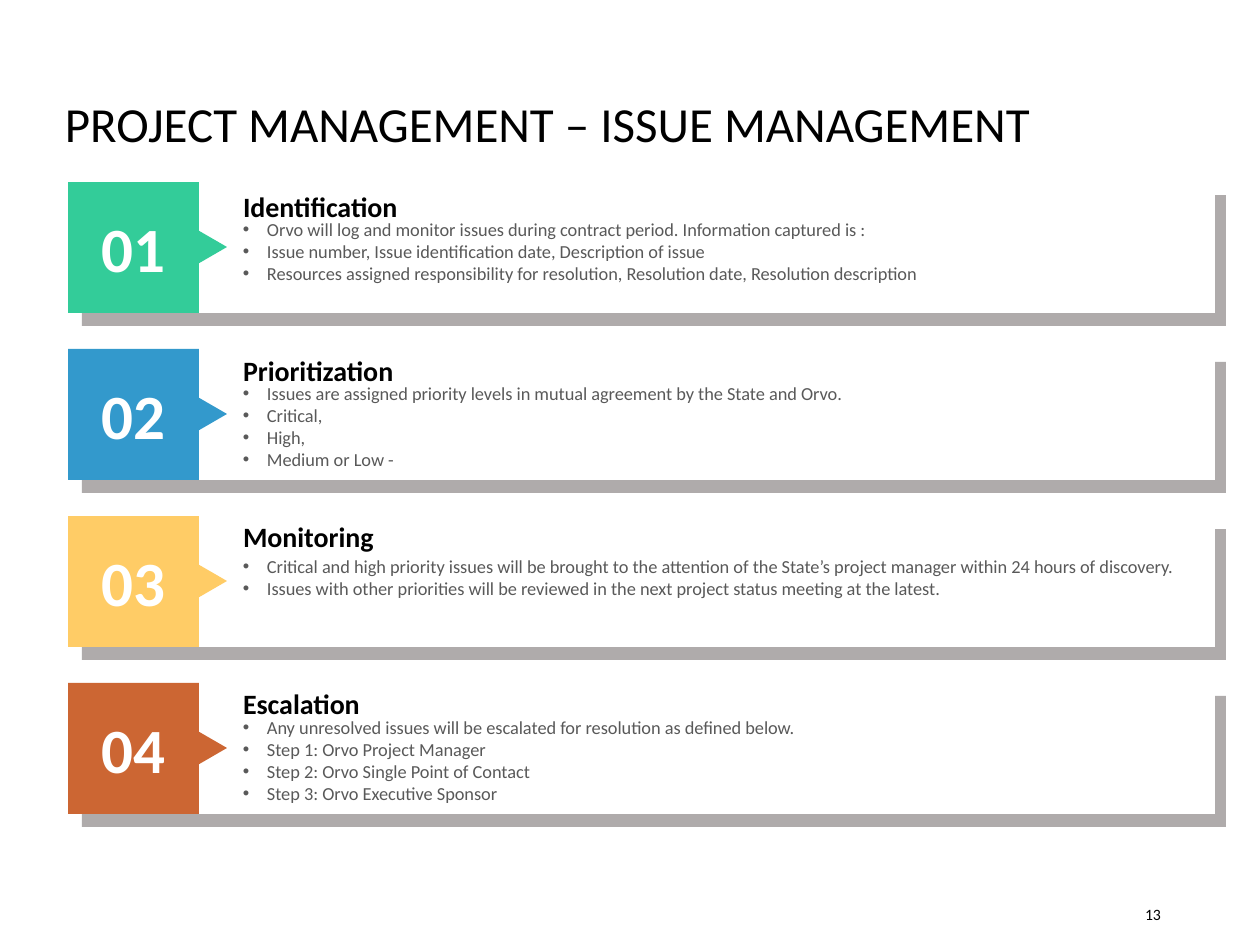
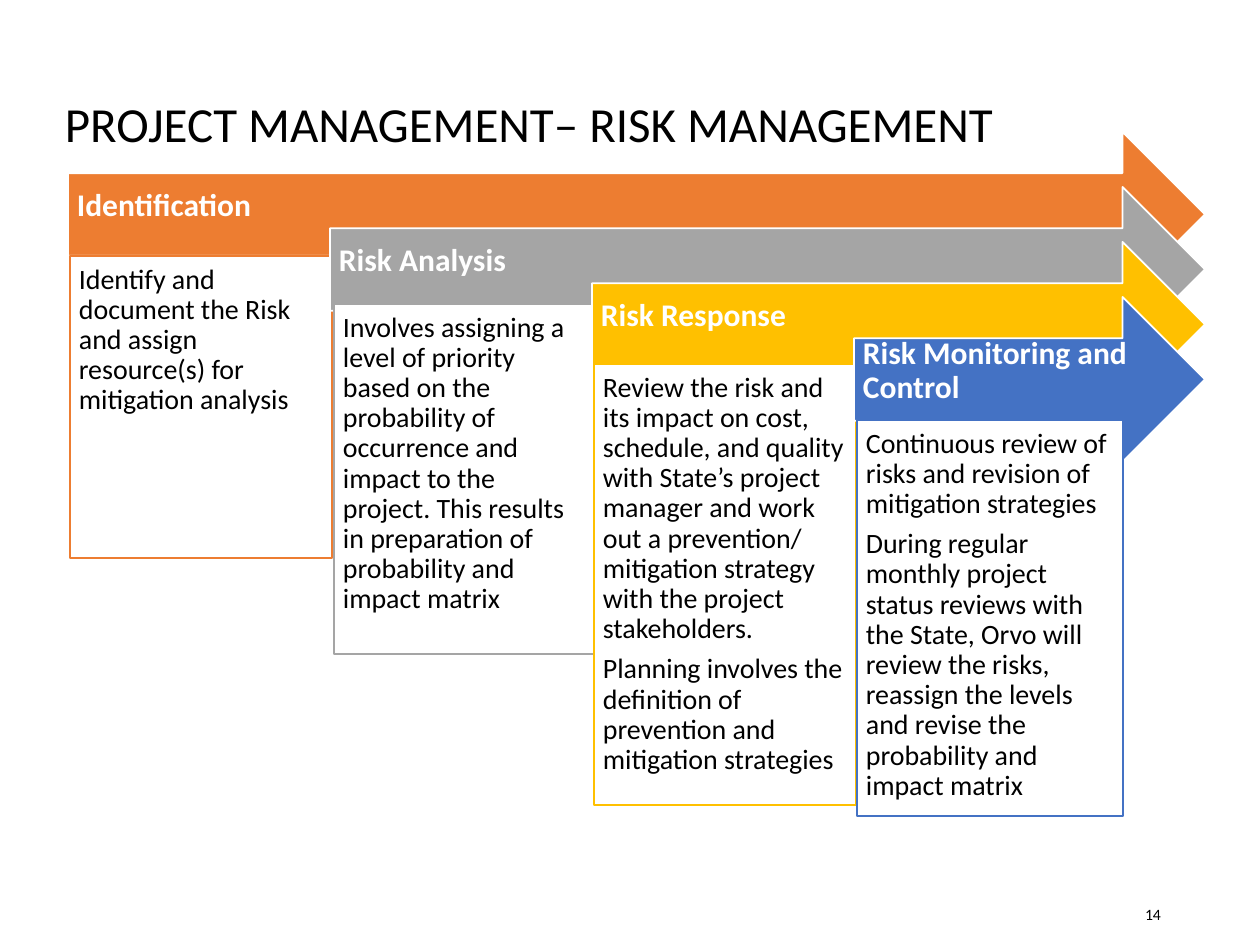
"""Build two project management slides: issue management and risk management."""
from lxml.etree import SubElement
from pptx import Presentation
from pptx.dml.color import RGBColor
from pptx.enum.shapes import MSO_SHAPE as Preset
from pptx.enum.text import MSO_ANCHOR as Anchor, MSO_AUTO_SIZE as AutoSize, PP_ALIGN as Align
from pptx.oxml.ns import qn
from pptx.util import Pt

SCALE = 914400 / 126
COLORS = {
    "black": "000000", "white": "FFFFFF", "shade": "AFABAB", "gray_text": "595959",
    "green": "33CC99", "blue": "3399CC", "sand": "FFCC66", "rust": "CC6633",
    "orange": "ED7D31", "gray": "A5A5A5", "gold": "FFC000", "royal": "4472C4",
}
STYLES = {
    "title": {"size": 28, "color": "black", "anchor": Anchor.MIDDLE, "margins": (13, 6, 13, 6),
              "paragraph": {"alignment": Align.LEFT, "line_spacing": 0.9}},
    "page": {"size": 9, "color": "black", "anchor": Anchor.MIDDLE, "margins": (13, 6, 13, 6),
             "paragraph": {"alignment": Align.RIGHT}},
    "number": {"size": 36, "color": "white", "bold": True, "anchor": Anchor.MIDDLE,
               "margins": (9, 5, 9, 5), "paragraph": {"alignment": Align.CENTER}},
    "heading": {"size": 16, "color": "black", "bold": True, "anchor": Anchor.BOTTOM,
                "margins": (0, 6, 13, 6), "paragraph": {"alignment": Align.LEFT}},
    "bullets": {"size": 10.5, "color": "gray_text", "anchor": Anchor.TOP, "indent": 24,
                "margins": (0, 6, 0, 6), "paragraph": {"alignment": Align.JUSTIFY}},
    "arrow": {"size": 18, "color": "white", "bold": True, "anchor": Anchor.MIDDLE,
              "margins": (9, 9, 35, 26),
              "paragraph": {"alignment": Align.LEFT, "line_spacing": 0.9, "space_after": Pt(6.3)}},
    "detail": {"size": 16, "color": "black", "anchor": Anchor.TOP, "margins": (9, 9, 9, 9),
               "paragraph": {"alignment": Align.LEFT, "line_spacing": 0.9, "space_after": Pt(5.6)}},
}


def write(shape, lines, style_name):
    style = STYLES[style_name]
    frame = shape.text_frame
    frame.word_wrap = True
    frame.auto_size = AutoSize.NONE
    frame.vertical_anchor = style["anchor"]
    for side, margin in zip(("left", "top", "right", "bottom"), style["margins"]):
        setattr(frame, f"margin_{side}", round(margin * SCALE))
    frame.text = "\n".join(lines)
    for paragraph in frame.paragraphs:
        for name, value in style["paragraph"].items():
            setattr(paragraph, name, value)
        font = paragraph.runs[0].font
        font_format = {"name": "Calibri", "size": Pt(style["size"]), "bold": style.get("bold", False)}
        for name, value in font_format.items():
            setattr(font, name, value)
        font.color.rgb = RGBColor.from_string(COLORS[style["color"]])
        if "indent" in style:
            properties = paragraph._p.get_or_add_pPr()
            indent = round(style["indent"] * SCALE)
            properties.set("marL", str(indent))
            properties.set("indent", str(-indent))
            SubElement(properties, qn("a:buFont")).set("typeface", "Arial")
            SubElement(properties, qn("a:buChar")).set("char", "•")


def add_element(slide, box, preset=None, fill=None, line=None):
    box = [round(length * SCALE) for length in box]
    if preset is None:
        return slide.shapes.add_textbox(*box)
    shape = slide.shapes.add_shape(preset, *box)
    shape.shadow.inherit = False
    shape.fill.solid()
    shape.fill.fore_color.rgb = RGBColor.from_string(COLORS[fill])
    if line:
        shape.line.color.rgb = RGBColor.from_string(COLORS[line])
        shape.line.width = Pt(1)
    else:
        shape.line.fill.background()
    return shape


presentation = Presentation()
presentation.slide_width = round(1260 * SCALE)
presentation.slide_height = round(945 * SCALE)

slides = []
for title, title_width, page in (
    ("PROJECT MANAGEMENT – ISSUE MANAGEMENT", 1097, "13"),
    ("PROJECT MANAGEMENT– RISK MANAGEMENT", 1037, "14"),
):
    slide = presentation.slides.add_slide(presentation.slide_layouts[5])
    placement = {"left": 52, "top": 86, "width": title_width, "height": 82}
    for name, value in placement.items():
        setattr(slide.shapes.title, name, round(value * SCALE))
    write(slide.shapes.title, [title], "title")
    write(add_element(slide, (890, 889, 284, 50)), [page], "page")
    slides.append(slide)
issue_slide, risk_slide = slides

issue_steps = (
    ("green", "Identification", 182, 212, 79, (
        "Orvo will log and monitor issues during contract period. Information captured is :",
        "Issue number, Issue identification date, Description of issue",
        "Resources assigned responsibility for resolution, Resolution date, Resolution description")),
    ("blue", "Prioritization", 346, 376, 102, (
        "Issues are assigned priority levels in mutual agreement by the State and Orvo.",
        "Critical,", "High,", "Medium or Low -")),
    ("sand", "Monitoring", 512, 549, 57, (
        "Critical and high priority issues will be brought to the attention of the State’s "
        "project manager within 24 hours of discovery.",
        "Issues with other priorities will be reviewed in the next project status meeting at the latest.")),
    ("rust", "Escalation", 679, 710, 102, (
        "Any unresolved issues will be escalated for resolution as defined below.",
        "Step 1: Orvo Project Manager",
        "Step 2: Orvo Single Point of Contact",
        "Step 3: Orvo Executive Sponsor")),
)
for index, (color, heading, heading_top, list_top, list_height, lines) in enumerate(issue_steps):
    top = 182 + 167 * index
    add_element(issue_slide, (82, top + 13, 1144, 131), Preset.RECTANGLE, "shade")
    add_element(issue_slide, (199, top, 1016, 131), Preset.RECTANGLE, "white")
    number = add_element(issue_slide, (68, top, 131, 131), Preset.RECTANGLE, color)
    write(number, [f"{index + 1:02}"], "number")
    pointer = add_element(issue_slide, (186, top + 46, 44, 38), Preset.ISOSCELES_TRIANGLE, color)
    pointer.rotation = 90
    write(add_element(issue_slide, (243, heading_top, 398, 47)), [heading], "heading")
    write(add_element(issue_slide, (243, list_top, 960, list_height)), lines, "bullets")

risk_stages = (
    ("orange", "Identification", (70, 256, 262, 302), (
        "Identify and document the Risk and assign resource(s) for mitigation analysis",)),
    ("gray", "Risk Analysis", (334, 304, 262, 350), (
        "Involves assigning a level of priority based on the probability of occurrence and impact "
        "to the project. This results in preparation of probability and impact matrix",)),
    ("gold", "Risk Response", (594, 364, 262, 441), (
        "Review the risk and its impact on cost, schedule, and quality with State’s project manager "
        "and work out a prevention/ mitigation strategy with the project stakeholders.",
        "Planning involves the definition of prevention and mitigation strategies")),
    ("royal", "Risk Monitoring and Control", (857, 420, 266, 396), (
        "Continuous review of risks and revision of mitigation strategies",
        "During regular monthly project status reviews with the State, Orvo will review the risks, "
        "reassign the levels and revise the probability and impact matrix")),
)
for index, (color, label, detail_box, lines) in enumerate(risk_stages):
    left = 68 + 262 * index
    arrow_box = (left, 132 + 55 * index, 1205 - left, 165)
    arrow = add_element(risk_slide, arrow_box, Preset.RIGHT_ARROW, color, "white")
    write(arrow, [label], "arrow")
    detail = add_element(risk_slide, detail_box, Preset.RECTANGLE, "white", color)
    write(detail, lines, "detail")

presentation.save("out.pptx")
